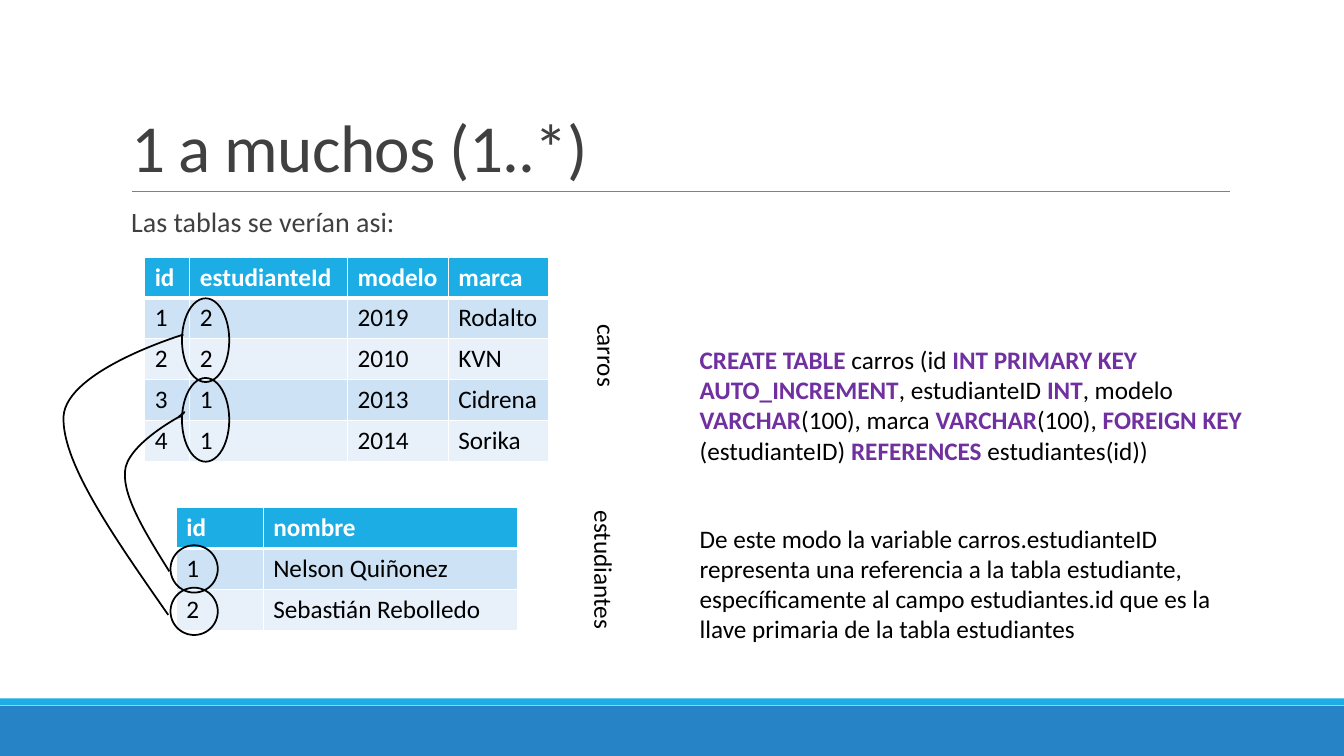
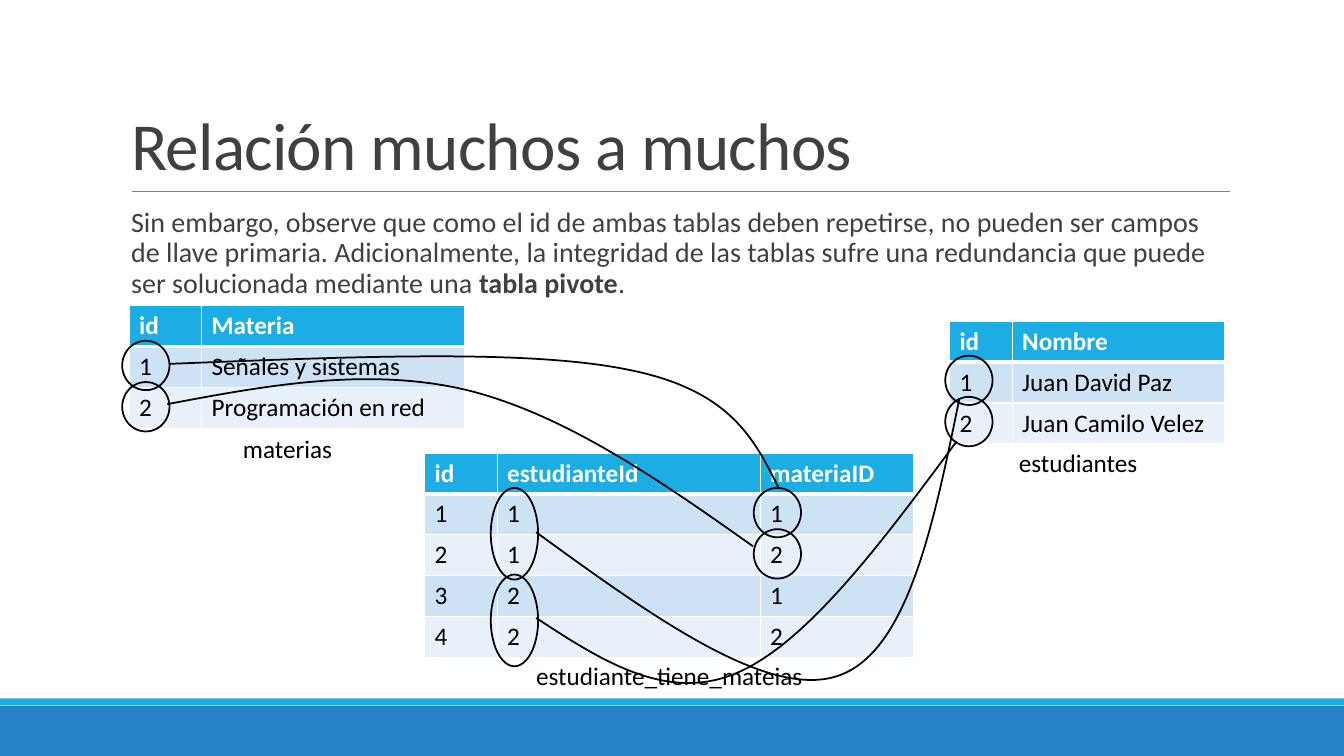
from lxml import etree
from pptx import Presentation
from pptx import util as u
from pptx.dml.color import RGBColor
from pptx.enum import shapes, text
from pptx.oxml.ns import qn

WHITE, BLACK, GREY = "FFFFFF", "000000", "404040"
BLUE, CYAN, PURPLE = "2683C6", "1CADE4", "7030A0"
BANDS = ["E8F1FA", "CDE3F5"]
ROW, RING = 29.2, 33.8
LEFT, MID = text.PP_ALIGN.LEFT, text.PP_ALIGN.CENTER


def ink(item, tone):
    """Give a font, fill or line one solid hex colour."""
    if hasattr(item, "solid"):
        item.solid()
        item.fore_color.rgb = RGBColor.from_string(tone)
    else:
        item.color.rgb = RGBColor.from_string(tone)


def write(frame, words, size=18, tone=BLACK, strong=BLACK, bold=False):
    """Fill a frame with one paragraph; text between bars is bold."""
    para = frame.paragraphs[0]
    for n, part in enumerate(words.split("|")):
        if not part:
            continue
        mark = n % 2 == 1
        run = para.add_run()
        run.text = part
        look = {"name": "Calibri", "size": u.Pt(size), "bold": bold or mark}
        for key, value in look.items():
            setattr(run.font, key, value)
        ink(run.font, strong if mark else tone)
    return para


# Tables: left, top, column widths, rows
# Labels: left, top, width, height, turn, alignment, words
# Rings: left, top, height, step to the second ring of the pair
# Curves: start, then two controls and an end for each arc
pages = [
    {
        "title": "1 a muchos (1..*)",
        "top": 22.3,
        "body": "Las tablas se verían asi:",
        "tables": [
            (103.4, 183.6, [32.2, 112.6, 72, 72], [
                ["id", "estudianteId", "modelo", "marca"],
                ["1", "2", "2019", "Rodalto"],
                ["2", "2", "2010", "KVN"],
                ["3", "1", "2013", "Cidrena"],
                ["4", "1", "2014", "Sorika"]]),
            (126, 362.6, [62, 181.8], [
                ["id", "nombre"],
                ["1", "Nelson Quiñonez"],
                ["2", "Sebastián Rebolledo"]]),
        ],
        "labels": [
            (492.7, 242.4, 446.4, 94.3, 0, LEFT,
             "|CREATE TABLE |carros (id |INT PRIMARY KEY AUTO_INCREMENT|"
             ", estudianteID |INT|, modelo |VARCHAR|(100), marca |VARCHAR|"
             "(100), |FOREIGN KEY |(estudianteID) |REFERENCES |"
             "estudiantes(id))"),
            (492.7, 369.9, 393.1, 94.3, 0, LEFT,
             "De este modo la variable carros.estudianteID representa una "
             "referencia a la tabla estudiante, específicamente al campo "
             "estudiantes.id que es la llave primaria de la tabla "
             "estudiantes"),
            (381.6, 393.3, 100.1, 29, 90, LEFT, "estudiantes"),
            (403.9, 239.8, 59.8, 29, 90, LEFT, "carros"),
        ],
        "rings": [(121.8, 389.5, 33.8, 30.3), (130, 213.1, 59.8, 56.9)],
        "curves": [
            [(121, 408.2), (104.4, 381.6), (87.8, 355), (89.3, 337),
             (90, 318.2), (127.4, 298.1), (127.4, 298.1),
             (134.6, 291.6), (131.8, 294.5), (128.2, 298.1)],
            [(120.2, 439.2), (82.1, 384.5), (43.9, 330.5), (45.4, 297.4),
             (47.5, 264.2), (131, 239), (131, 239)],
        ],
    },
    {
        "title": "Relación muchos a muchos",
        "top": 20.9,
        "body": "Sin embargo, observe que como el id de ambas tablas deben "
                "repetirse, no pueden ser campos de llave primaria. "
                "Adicionalmente, la integridad de las tablas sufre una "
                "redundancia que puede ser solucionada mediante una "
                "|tabla pivote|.",
        "tables": [
            (92.2, 218.2, [51.8, 187.9], [
                ["id", "Materia"],
                ["1", "Señales y sistemas"],
                ["2", "Programación en red"]]),
            (678.2, 229.5, [44.8, 151.7], [
                ["id", "Nombre"],
                ["1", "Juan David Paz"],
                ["2", "Juan Camilo Velez"]]),
            (303.3, 323.6, [51.8, 187.9, 109.9], [
                ["id", "estudianteId", "materiaID"],
                ["1", "1", "1"],
                ["2", "1", "2"],
                ["3", "2", "1"],
                ["4", "2", "2"]]),
        ],
        "labels": [
            (720.7, 316.1, 124.6, 29, 0, LEFT, "estudiantes"),
            (166.5, 306, 124.6, 29, 0, LEFT, "materias"),
            (375.5, 468, 205.2, 29, 0, MID, "estudiante_tiene_mateias"),
        ],
        "rings": [(350.6, 348.5, 65.5, 61.9), (538.4, 348.5, 35.3, 29.5),
                  (87.3, 243.4, 35.3, 29.5), (675.2, 254, 35.3, 29.5)],
        "curves": [
            [(555.8, 347.8), (538.6, 313.2), (521.3, 278.6), (449.3, 264.2),
             (376.6, 249.1), (248.4, 254.9), (121, 259.9)],
            [(537.8, 390.2), (470.9, 342.7), (403.2, 295.9), (333.4, 278.6),
             (263.5, 262.1), (191.5, 275), (119.5, 288.7)],
            [(383, 380.2), (465.1, 439.9), (547.2, 499), (597.6, 483.1),
             (648, 467.3), (666.7, 375.8), (685.4, 284.4)],
            [(383, 441.4), (429.1, 471.6), (475.9, 501.8), (525.6, 481),
             (576, 460.1), (630, 387.4), (683.3, 315.4)],
        ],
    },
]

deck = Presentation()
deck.slide_width, deck.slide_height = u.Pt(960), u.Pt(540)

for page in pages:
    slide = deck.slides.add_slide(deck.slide_layouts[6])
    art = slide.shapes

    # Bands and rule
    for top, high, tone in [(504, 36, BLUE), (498.8, 5, CYAN)]:
        band = art.add_shape(shapes.MSO_SHAPE.RECTANGLE,
                             0, u.Pt(top), u.Pt(960), u.Pt(high))
        band.shadow.inherit = False
        ink(band.fill, tone)
        band.line.fill.background()
    rule = art.add_connector(shapes.MSO_CONNECTOR.STRAIGHT, u.Pt(94.4),
                             u.Pt(136.5), u.Pt(878.7), u.Pt(136.5))
    ink(rule.line, "808080")
    rule.line.width = u.Pt(0.5)
    etree.SubElement(rule._element.spPr, qn("a:effectLst"))

    # Title and body
    frame = art.add_textbox(u.Pt(86.6), u.Pt(page["top"]),
                            u.Pt(792), u.Pt(114.5)).text_frame
    frame.word_wrap = True
    frame.vertical_anchor = text.MSO_ANCHOR.BOTTOM
    para = write(frame, page["title"], 48, GREY)
    para.line_spacing = 0.85
    para.runs[0].font._element.set("spc", "-50")

    frame = art.add_textbox(u.Pt(86.6), u.Pt(145.4),
                            u.Pt(792), u.Pt(316.8)).text_frame
    frame.word_wrap = True
    frame.margin_right = 0
    para = write(frame, page["body"], 20, GREY, GREY)
    look = {"line_spacing": 0.9, "space_before": u.Pt(12),
            "space_after": u.Pt(2)}
    for key, value in look.items():
        setattr(para, key, value)

    # Tables
    for left, top, widths, rows in page["tables"]:
        grid = art.add_table(len(rows), len(widths), u.Pt(left), u.Pt(top),
                             u.Pt(sum(widths)), u.Pt(ROW * len(rows))).table
        grid.horz_banding = False
        for col, wide in zip(grid.columns, widths):
            col.width = u.Pt(wide)
        for r, row in enumerate(rows):
            grid.rows[r].height = u.Pt(ROW)
            for c, words in enumerate(row):
                cell = grid.cell(r, c)
                head = r == 0
                write(cell.text_frame, words,
                      tone=WHITE if head else BLACK, bold=head)
                ink(cell.fill, CYAN if head else BANDS[r % 2])
                edges = {"lnL": 1, "lnR": 1, "lnT": 3 if r == 1 else 1,
                         "lnB": 3 if head else 1}
                for n, (side, thick) in enumerate(edges.items()):
                    edge = etree.Element(qn("a:" + side),
                                         w=str(u.Pt(thick)))
                    fill = etree.SubElement(edge, qn("a:solidFill"))
                    etree.SubElement(fill, qn("a:srgbClr"), val=WHITE)
                    cell._tc.tcPr.insert(n, edge)

    # Labels
    for left, top, wide, high, turn, align, words in page["labels"]:
        box = art.add_textbox(u.Pt(left), u.Pt(top), u.Pt(wide), u.Pt(high))
        box.rotation = turn
        box.text_frame.word_wrap = not turn
        write(box.text_frame, words, strong=PURPLE).alignment = align

    # Rings and the curves that join them
    marks = []
    for left, top, high, step in page["rings"]:
        for n in range(2):
            marks.append(art.add_shape(
                shapes.MSO_SHAPE.OVAL, u.Pt(left), u.Pt(top + n * step),
                u.Pt(RING), u.Pt(high)))
    for knots in page["curves"]:
        dots = [(u.Pt(x), u.Pt(y)) for x, y in knots]
        pen = art.build_freeform(*dots[0])
        pen.add_line_segments(dots[3::3], close=False)
        curve = pen.convert_to_shape()
        legs = list(curve._element.iter(qn("a:lnTo")))
        for n, leg in enumerate(legs):
            arc = etree.Element(qn("a:cubicBezTo"))
            for x, y in dots[3 * n + 1:3 * n + 4]:
                etree.SubElement(arc, qn("a:pt"), x=str(x - curve.left),
                                 y=str(y - curve.top))
            leg.getparent().replace(leg, arc)
        marks.append(curve)
    for mark in marks:
        mark.shadow.inherit = False
        mark.fill.background()
        ink(mark.line, BLACK)
        mark.line.width = u.Pt(1.25)

deck.save("out.pptx")
